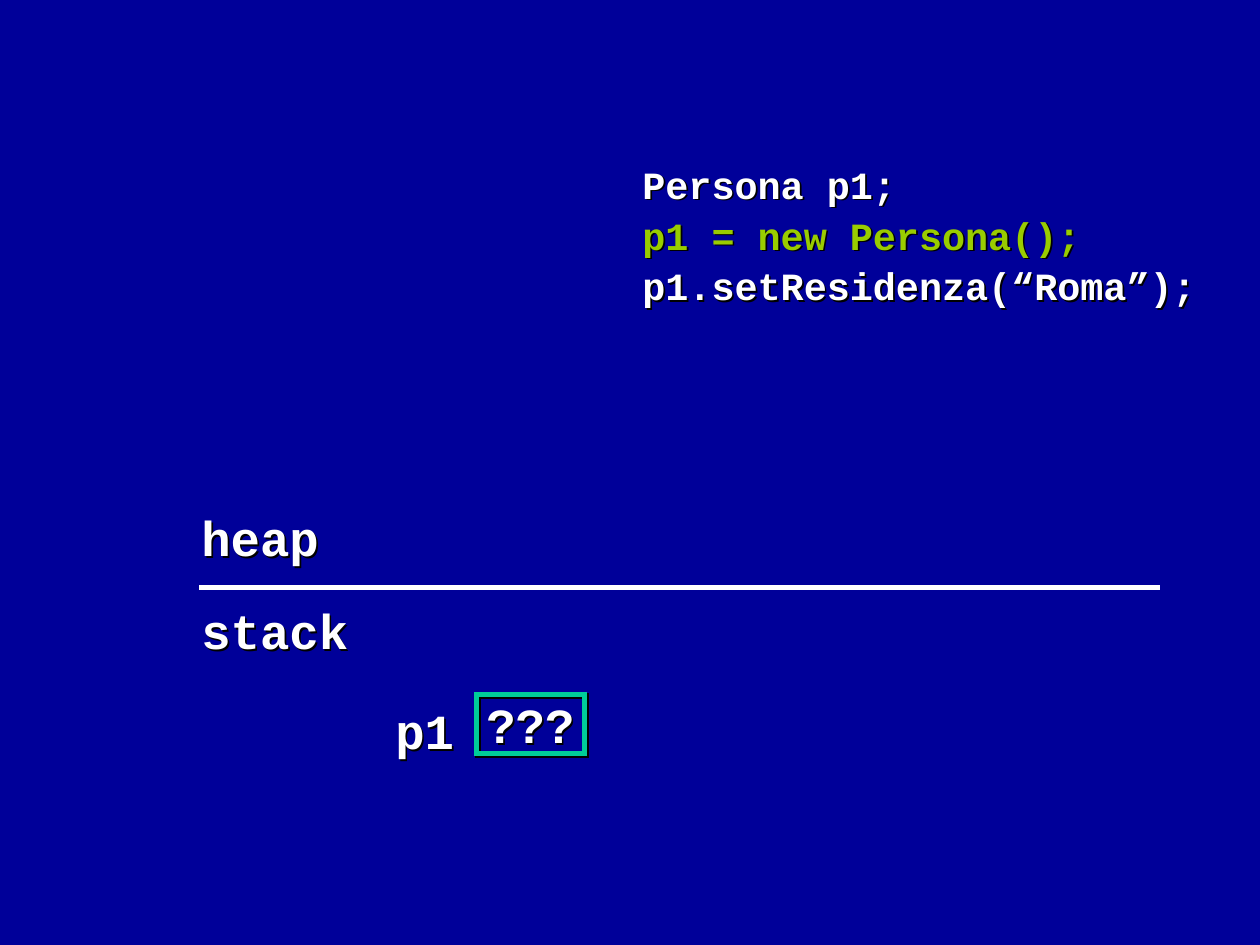
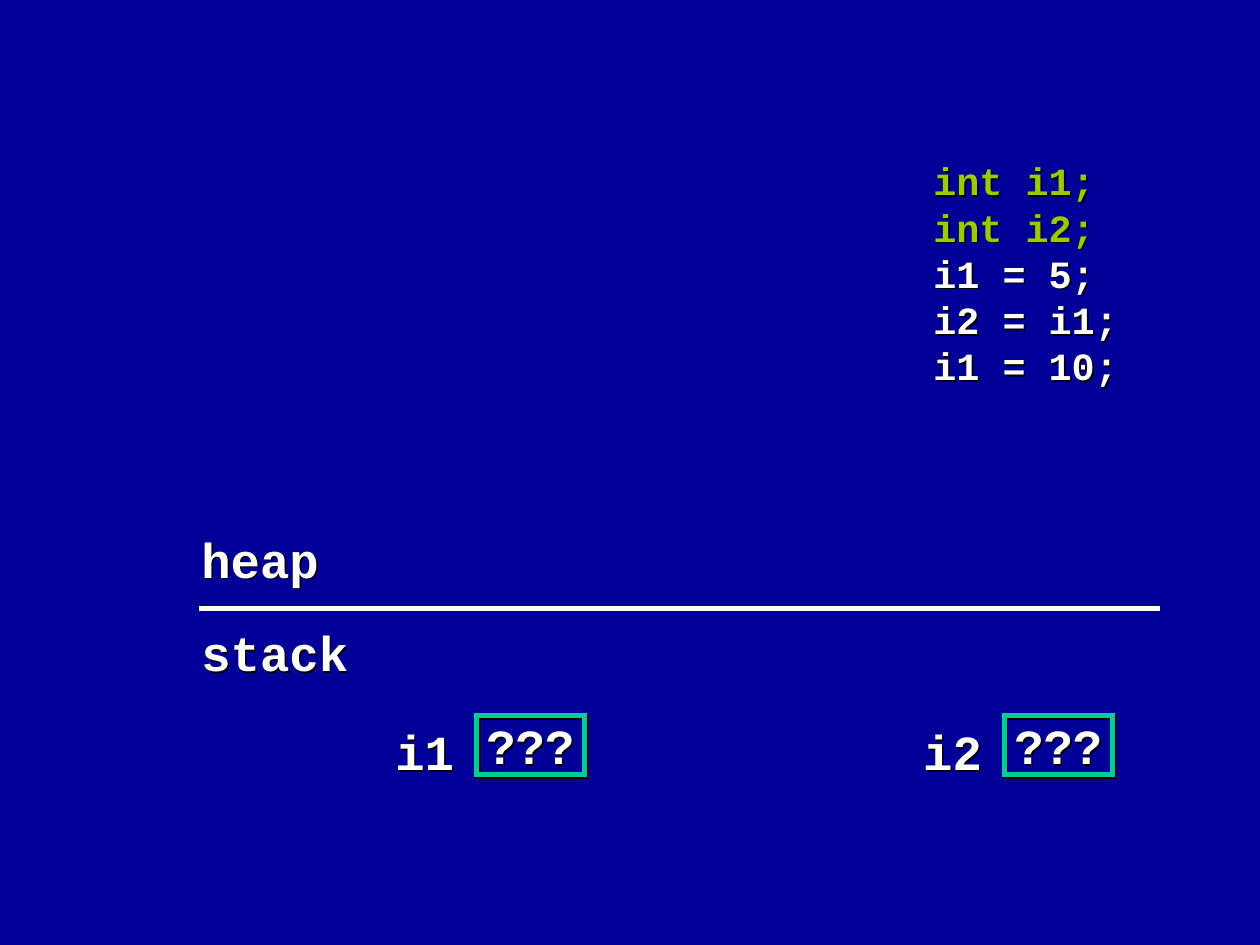
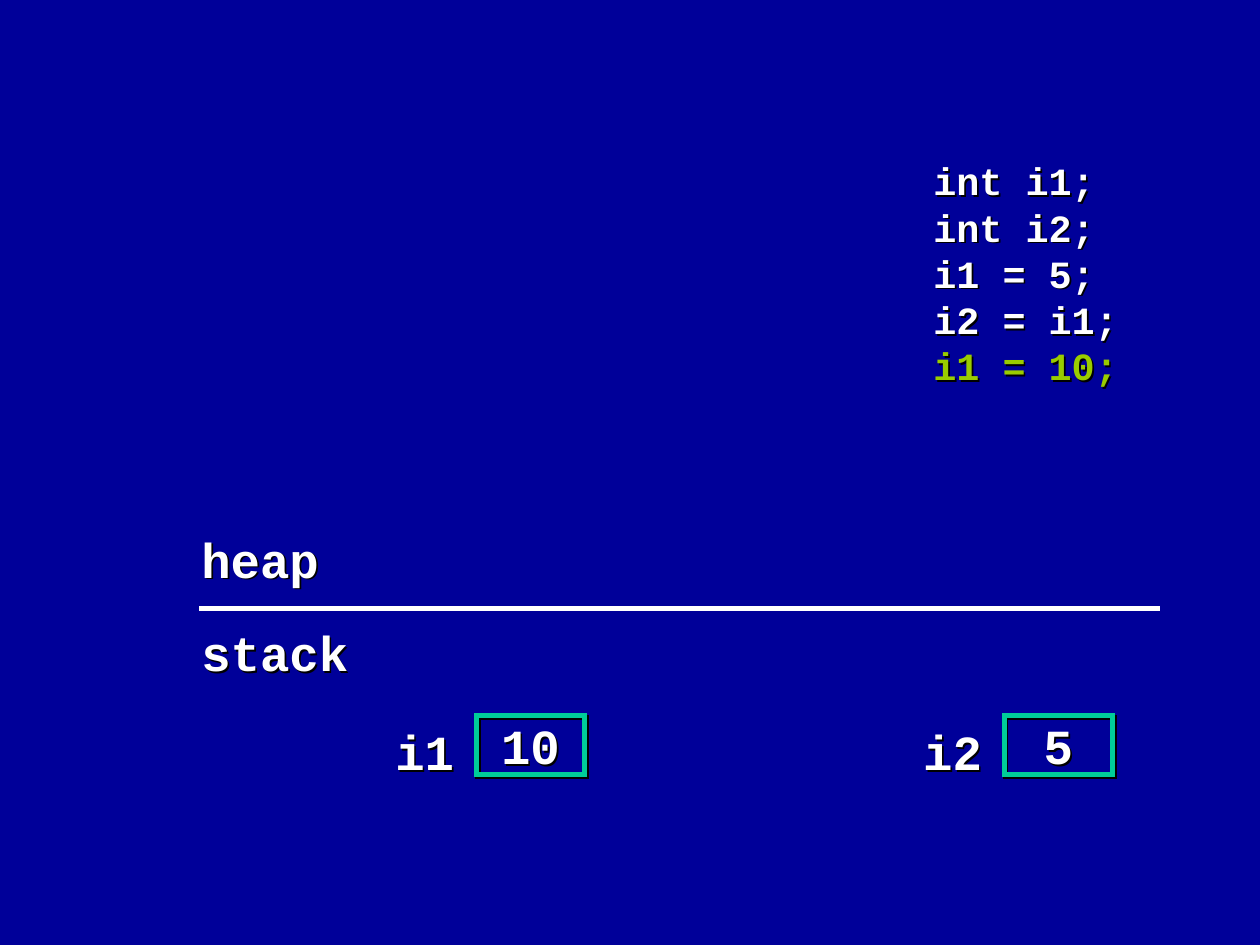
from lxml import etree
from pptx import Presentation
from pptx.dml.color import RGBColor
from pptx.enum.shapes import MSO_CONNECTOR, MSO_SHAPE
from pptx.enum.text import MSO_ANCHOR, MSO_AUTO_SIZE, PP_ALIGN
from pptx.oxml.ns import qn
from pptx.util import Inches, Pt

# Colours and type
NAVY = RGBColor(0x00, 0x00, 0x99)
WHITE = RGBColor(0xFF, 0xFF, 0xFF)
LIME = RGBColor(0x99, 0xCC, 0x00)
TEAL = RGBColor(0x00, 0xCC, 0x99)
BLACK = RGBColor(0x00, 0x00, 0x00)
FONT = "Courier New"
CODE_SIZE, LABEL_SIZE = 22, 28

# Content: code lines, highlighted line numbers, stack variables
INTEGER_CODE = ["int i1;", "int i2;", "i1 = 5;", "i2 = i1;", "i1 = 10;"]
INTEGER_LAYOUT = {"code_at": (7.31, 1.2, 2.26, 1.94), "spacing": None, "divider": 4.83}
SLIDES = [
    {
        "code": ["Persona p1;", "p1 = new Persona();", "p1.setResidenza(“Roma”);"],
        "active": {1},
        "variables": [("p1", "???")],
        "code_at": (5, 1.19, 4.69, 1.31),
        "spacing": 1.1,
        "divider": 4.66,
    },
    {
        "code": INTEGER_CODE,
        "active": {0, 1},
        "variables": [("i1", "???"), ("i2", "???")],
        **INTEGER_LAYOUT,
    },
    {
        "code": INTEGER_CODE,
        "active": {4},
        "variables": [("i1", "10"), ("i2", "5")],
        **INTEGER_LAYOUT,
    },
]

# Memory diagram, vertical offsets measured from the divider
DIVIDER_LEFT, DIVIDER_RIGHT = 1.58, 9.21
REGIONS = [("heap", -0.68, 1.15), ("stack", 0.06, 1.38)]
REGION_LEFT = 1.5
VARIABLE_LEFT, VARIABLE_STEP, VARIABLE_OFFSET = 3.03, 4.19, 0.85
NAME_WIDTH, LABEL_HEIGHT = 0.68, 0.57
BOX_OFFSET, BOX_WIDTH, BOX_HEIGHT = 0.75, 0.86, 0.47


def add_shadow(shape):
    """Put a hard black shadow, down and to the right, on a shape and its text."""
    shape.shadow.inherit = False
    effects = shape._element.spPr.find(qn("a:effectLst"))
    shadow = etree.SubElement(effects, qn("a:outerShdw"), dist=str(Pt(1.4)),
                              dir="2700000", algn="ctr", rotWithShape="0")
    etree.SubElement(shadow, qn("a:srgbClr"), val=str(BLACK))


def write_lines(paragraph, lines, size, active=()):
    paragraph.font.name = FONT
    paragraph.font.size = Pt(size)
    paragraph.font.bold = True
    for number, line in enumerate(lines):
        if number:
            paragraph.add_line_break()
        run = paragraph.add_run()
        run.text = line
        run.font.color.rgb = LIME if number in active else WHITE


def add_text(slide, position, lines, size, active=(), wrap=False):
    box = slide.shapes.add_textbox(*map(Inches, position))
    add_shadow(box)
    box.text_frame.word_wrap = wrap
    box.text_frame.auto_size = MSO_AUTO_SIZE.SHAPE_TO_FIT_TEXT
    paragraph = box.text_frame.paragraphs[0]
    write_lines(paragraph, lines, size, active)
    return paragraph


def add_divider(slide, y):
    line = slide.shapes.add_connector(
        MSO_CONNECTOR.STRAIGHT,
        Inches(DIVIDER_LEFT), Inches(y), Inches(DIVIDER_RIGHT), Inches(y))
    line.line.color.rgb = WHITE
    line.line.width = Pt(3)
    etree.SubElement(line._element.spPr, qn("a:effectLst"))


def add_variable(slide, left, top, name, value):
    # Value box with square corners
    box = slide.shapes.add_shape(
        MSO_SHAPE.RECTANGLE, Inches(left + BOX_OFFSET), Inches(top),
        Inches(BOX_WIDTH), Inches(BOX_HEIGHT))
    box.fill.background()
    box.line.color.rgb = TEAL
    box.line.width = Pt(3)
    etree.SubElement(box._element.spPr.find(qn("a:ln")), qn("a:miter"), lim="800000")
    add_shadow(box)
    box.text_frame.word_wrap = False
    box.text_frame.vertical_anchor = MSO_ANCHOR.MIDDLE
    paragraph = box.text_frame.paragraphs[0]
    paragraph.alignment = PP_ALIGN.CENTER
    write_lines(paragraph, [value], LABEL_SIZE)

    # Variable name
    label = add_text(slide, (left, top, NAME_WIDTH, LABEL_HEIGHT), [name], LABEL_SIZE)
    label.alignment = PP_ALIGN.CENTER


def build_slide(presentation, content):
    slide = presentation.slides.add_slide(presentation.slide_layouts[6])
    slide.background.fill.solid()
    slide.background.fill.fore_color.rgb = NAVY

    # Code listing
    code = add_text(slide, content["code_at"], content["code"], CODE_SIZE,
                    content["active"], wrap=True)
    code.space_before = Pt(13.8)
    code.line_spacing = content["spacing"]

    # Heap above the divider, stack below it
    divider = content["divider"]
    add_divider(slide, divider)
    for name, offset, width in REGIONS:
        add_text(slide, (REGION_LEFT, divider + offset, width, LABEL_HEIGHT),
                 [name], LABEL_SIZE)

    # Variables on the stack
    for column, (name, value) in enumerate(content["variables"]):
        add_variable(slide, VARIABLE_LEFT + column * VARIABLE_STEP,
                     divider + VARIABLE_OFFSET, name, value)


def main():
    presentation = Presentation()
    presentation.slide_width = Inches(10)
    presentation.slide_height = Inches(7.5)
    for content in SLIDES:
        build_slide(presentation, content)
    presentation.save("out.pptx")


if __name__ == "__main__":
    main()
